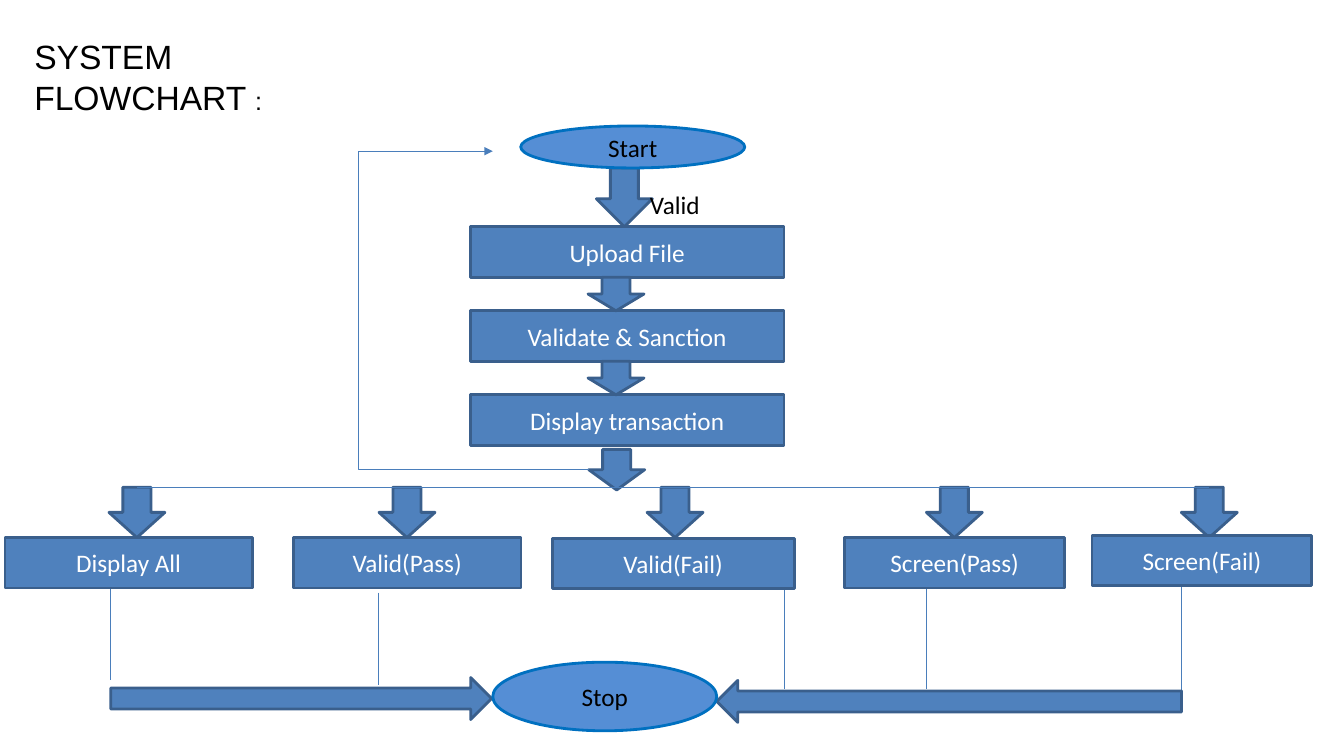
from pptx import Presentation
from pptx.dml.color import RGBColor
from pptx.enum import shapes, text
from pptx.oxml.ns import qn
from pptx.util import Pt

KIND = shapes.MSO_SHAPE
LINK = shapes.MSO_CONNECTOR

deck = Presentation()
deck.slide_width, deck.slide_height = Pt(960), Pt(540)
page = deck.slides.add_slide(deck.slide_layouts[5])


def write(para, words, size=18, font="Calibri", color="000000", align=text.PP_ALIGN.LEFT):
    para.alignment = align
    span = para.add_run()
    span.text = words
    span.font.size = Pt(size)
    span.font.name = font
    span.font.color.rgb = RGBColor.from_string(color)


def draw(kind, left, top, width, height, words="", fill="4F81BD", line="3A5F8C", color="FFFFFF"):
    box = page.shapes.add_shape(kind, Pt(left), Pt(top), Pt(width), Pt(height))
    box.shadow.inherit = False
    box.fill.solid()
    box.fill.fore_color.rgb = RGBColor.from_string(fill)
    box.line.color.rgb = RGBColor.from_string(line)
    box.line.width = Pt(2)
    if words:
        box.text_frame.vertical_anchor = text.MSO_ANCHOR.MIDDLE
        write(box.text_frame.paragraphs[0], words, color=color, align=text.PP_ALIGN.CENTER)
    return box


title = page.shapes.title
title.left, title.top, title.width, title.height = Pt(17.3), Pt(22.3), Pt(244), Pt(60.5)
title.text_frame.word_wrap = True
title.text_frame.auto_size = text.MSO_AUTO_SIZE.NONE
title.text_frame.vertical_anchor = text.MSO_ANCHOR.TOP
heading = title.text_frame.paragraphs[0]
write(heading, "SYSTEM FLOWCHART ", size=24, font="Arial")
write(heading, ":", font="Arial")

steps = ["Upload File", "Validate & Sanction", "Display transaction"]
for index, words in enumerate(steps):
    draw(KIND.FLOWCHART_PROCESS, 336, 162 + 60 * index, 224, 36, words)

for left, top, height in [(426, 120, 42), (420, 198, 24), (420, 258, 24), (420.5, 321, 29)]:
    draw(KIND.DOWN_ARROW, left, top, 40, height)

branches = [
    ("Display All", 3.6, 384, 176.5, 77.8, 79.2, 420, 486),
    ("Valid(Pass)", 209.5, 384, 162.7, 270.7, 270.7, 423.4, 489.6),
    ("Valid(Fail)", 394.5, 384.5, 172.8, 462.2, 560.2, 417, 492),
    ("Screen(Pass)", 603.4, 384, 157, 661.7, 661.7, 418.3, 492),
    ("Screen(Fail)", 780, 382.3, 157, 843.8, 843.8, 417, 501),
]
arrows = []
connectors = []
for words, left, top, width, arrow_left, drop, drop_top, drop_end in branches:
    connectors.append(page.shapes.add_connector(
        LINK.STRAIGHT, Pt(drop), Pt(drop_top), Pt(drop), Pt(drop_end)))
    arrows.append(draw(KIND.DOWN_ARROW, arrow_left, 348, 40, 36))
    draw(KIND.FLOWCHART_PROCESS, left, top, width, 36, words)

bus = page.shapes.add_connector(LINK.STRAIGHT, Pt(97.8), Pt(348), Pt(863.8), Pt(348))
bus.begin_connect(arrows[0], 0)
bus.end_connect(arrows[-1], 0)

loop = page.shapes.add_connector(LINK.ELBOW, Pt(420.5), Pt(335.5), Pt(256.3), Pt(108))
loop._element.spPr.find(qn("a:prstGeom")).set("prst", "bentConnector2")
restart = page.shapes.add_connector(LINK.STRAIGHT, Pt(256.3), Pt(108), Pt(352), Pt(108))

for connector in connectors + [bus, loop, restart]:
    connector.line.color.rgb = RGBColor.from_string("4A7EBB")
    connector.line.width = Pt(0.75)
    properties = connector._element.spPr
    properties.append(properties.makeelement(qn("a:effectLst"), {}))

outline = restart.line._get_or_add_ln()
outline.append(outline.makeelement(qn("a:tailEnd"), {"type": "triangle"}))

draw(KIND.RIGHT_ARROW, 79.2, 484, 272, 30)
draw(KIND.RIGHT_ARROW, 512, 486, 332, 30).rotation = 180

for words, left, top, height in [("Start", 372, 90, 30), ("Stop", 352, 473, 49)]:
    draw(KIND.OVAL, left, top, 160, height, words, fill="558ED5", line="0070C0", color="000000")

label = page.shapes.add_textbox(Pt(457.2), Pt(132), Pt(79), Pt(29))
label.text_frame.word_wrap = True
write(label.text_frame.paragraphs[0], "Valid")

deck.save("out.pptx")
